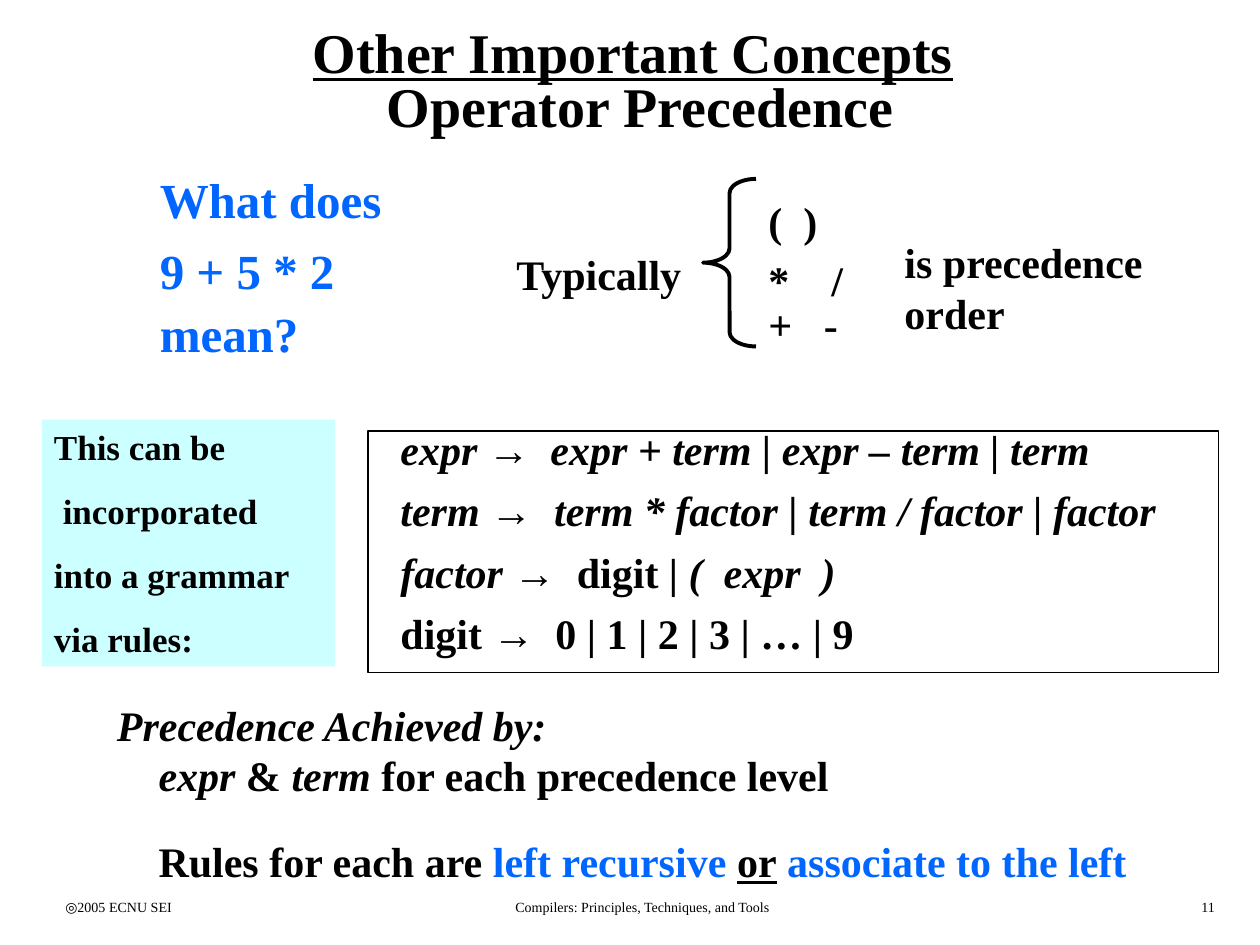
import pptx
import pptx.util
import pptx.dml.color
import pptx.enum.shapes
import pptx.enum.text
import pptx.oxml.ns
import lxml.etree

BLACK, BLUE, CYAN = "000000", "0066FF", "CCFFFF"
SERIF, SANS = "Times New Roman", "Arial"
ITALIC = {"italic": True}
ARROW = ("→\t", {"font": SANS})
ALIGN = pptx.enum.text.PP_ALIGN
ANCHOR = pptx.enum.text.MSO_ANCHOR
SHAPE = pptx.enum.shapes.MSO_SHAPE

TITLE = [{"runs": [("Other Important Concepts", {"underline": True}), " ", "\n",
                   "Operator Precedence"]}]
QUESTION = [
    {"runs": ["What does"]},
    {"runs": ["9 + 5 * 2"]},
    {"runs": ["mean?"], "spacing": 0.5},
]
OPERATORS = [
    {"runs": ["(  )"]},
    {"runs": ["*\t/"], "spacing": 0.6, "tab": 0.5},
    {"runs": ["+\t-"], "spacing": 0.3, "tab": 0.44},
]
INTRODUCTION = [
    {"runs": ["This can be"]},
    {"runs": ["incorporated"], "indent": 0.07},
    {"runs": ["into a grammar"]},
    {"runs": ["via rules:"]},
]
GRAMMAR = [
    {"runs": [("expr ", ITALIC), ARROW, ("expr + term | expr – term | term", ITALIC)],
     "tab": 1.19},
    {"runs": [("term ", ITALIC), ARROW, ("term * factor | term / factor | factor", ITALIC)],
     "tab": 1.22},
    {"runs": [("factor ", ITALIC), ARROW, "digit", (" | (  expr  )", ITALIC)], "tab": 1.4},
    {"runs": ["digit ", ARROW, "0 | 1 | 2 | 3 | … | 9"], "tab": 1.23},
]
ACHIEVEMENT = [
    {"runs": [("Precedence Achieved by:", ITALIC)]},
    {"runs": [("expr", ITALIC), " & ", ("term", ITALIC), " for each precedence level"],
     "indent": 0.33},
    {"runs": ["Rules for each are ", ("left recursive ", {"color": BLUE}),
              ("or", {"underline": True}), " ", ("associate to the left", {"color": BLUE})],
     "indent": 0.33, "before": 20.5},
]
FOOTER = [
    ("◎2005 ECNU SEI", 0.42, 2.07, ALIGN.LEFT),
    ("Compilers: Principles, Techniques, and Tools ", 3.25, 3.73, ALIGN.CENTER),
    ("11", 7.67, 2.07, ALIGN.RIGHT),
]

deck = pptx.Presentation()
deck.slide_width = pptx.util.Inches(10)
deck.slide_height = pptx.util.Inches(7.5)
slide = deck.slides.add_slide(deck.slide_layouts[6])


def rgb(value):
    return pptx.dml.color.RGBColor.from_string(value)


def inches(box):
    return [pptx.util.Inches(length) for length in box]


def outline(preset, box, fill=None, line=None, width=0.75):
    shape = slide.shapes.add_shape(preset, *inches(box))
    shape.shadow.inherit = False
    for paint, color in ((shape.fill, fill), (shape.line.fill, line)):
        if color:
            paint.solid()
            paint.fore_color.rgb = rgb(color)
        else:
            paint.background()
    if line:
        shape.line.width = pptx.util.Pt(width)
    return shape


def add_run(paragraph, text, size, color=BLACK, font=SERIF, bold=True,
            italic=False, underline=False):
    run = paragraph.add_run()
    run.text = text
    run.font.size = pptx.util.Pt(size)
    run.font.name = font
    run.font.bold = bold
    run.font.italic = italic
    run.font.underline = underline
    run.font.color.rgb = rgb(color)


def write(content, box, size=24, color=BLACK, bold=True, align=ALIGN.LEFT,
          anchor=ANCHOR.TOP, spacing=1, before=0, fill=None):
    if fill:
        holder = outline(SHAPE.RECTANGLE, box, fill=fill)
    else:
        holder = slide.shapes.add_textbox(*inches(box))
    frame = holder.text_frame
    frame.word_wrap = True
    frame.vertical_anchor = anchor
    for index, row in enumerate(content):
        paragraph = frame.add_paragraph() if index else frame.paragraphs[0]
        properties = paragraph._p.get_or_add_pPr()
        if "indent" in row:
            properties.set("marL", str(pptx.util.Inches(row["indent"])))
        if "tab" in row:
            stops = lxml.etree.SubElement(properties, pptx.oxml.ns.qn("a:tabLst"))
            lxml.etree.SubElement(stops, pptx.oxml.ns.qn("a:tab"),
                                  pos=str(pptx.util.Inches(row["tab"])), algn="l")
        paragraph.alignment = align
        paragraph.line_spacing = row.get("spacing", spacing)
        if index:
            paragraph.space_before = pptx.util.Pt(row.get("before", before))
        for part in row["runs"]:
            text, style = (part, {}) if isinstance(part, str) else part
            if text == "\n":
                paragraph.add_line_break()
            else:
                add_run(paragraph, text, size, **{"color": color, "bold": bold, **style})


write(TITLE, (0.58, 0.17, 9, 1), size=32, align=ALIGN.CENTER, anchor=ANCHOR.MIDDLE,
      spacing=0.8)
write(QUESTION, (1.17, 1.42, 2.15, 1.48), size=28, color=BLUE, spacing=0.7, before=17.5)

write([{"runs": ["Typically"]}], (4, 1.92, 1.92, 0.5))
brace = outline(SHAPE.LEFT_BRACE, (5.58, 1.42, 0.42, 1.33), line=BLACK, width=2.25)
brace.adjustments[0] = 0.27
write(OPERATORS, (6, 1.5, 1, 1.28), before=15)
write([{"runs": ["is precedence order"]}], (7.08, 1.83, 2.67, 0.9))

write(INTRODUCTION, (0.33, 3.33, 2.33, 1.96), size=20, before=12.5, fill=CYAN)
write(GRAMMAR, (3.08, 3.42, 6.42, 1.85), spacing=0.7, before=15)
outline(SHAPE.RECTANGLE, (2.92, 3.42, 6.75, 1.92), line=BLACK)

write(ACHIEVEMENT, (0.83, 5.5, 8.75, 1.58))
for text, left, width, align in FOOTER:
    write([{"runs": [text]}], (left, 7.08, width, 0.25), size=8, bold=False, align=align)

deck.save("out.pptx")
